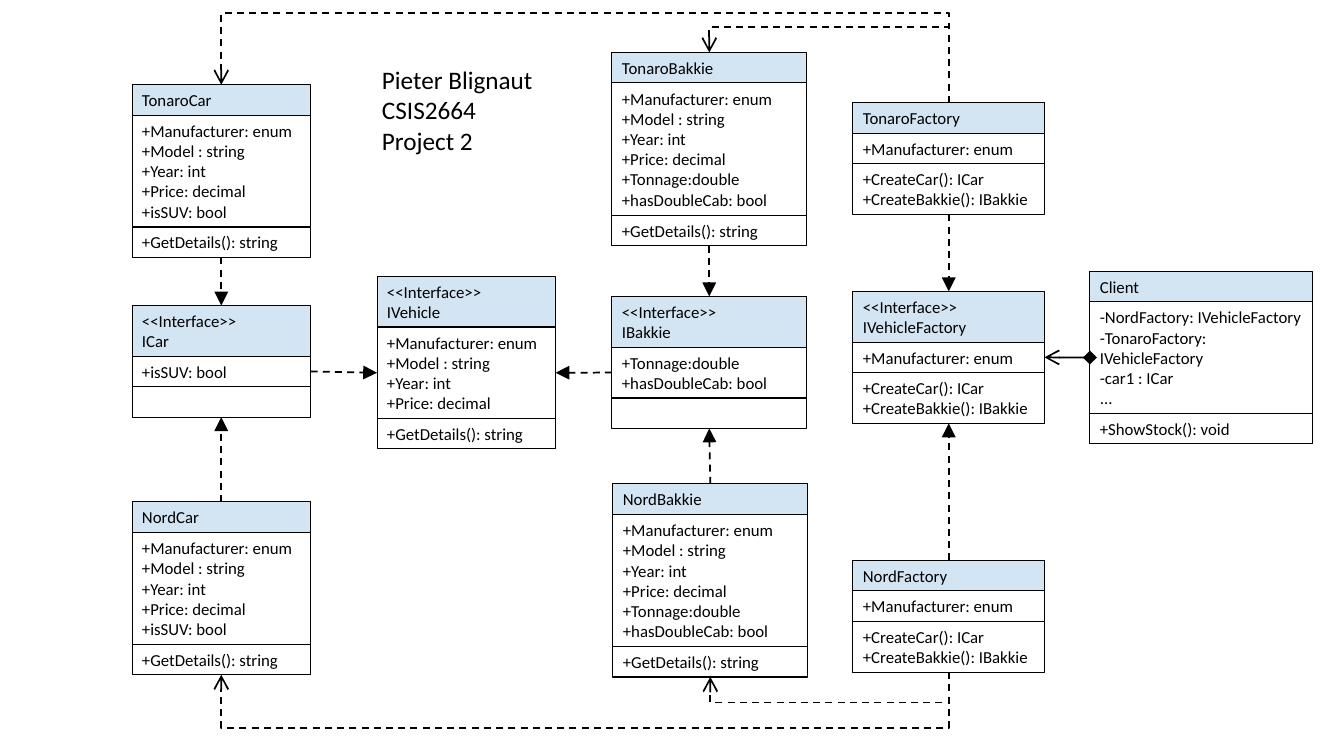
import math

from lxml import etree
from pptx import Presentation
from pptx import util as u
from pptx.dml.color import RGBColor
from pptx.enum import dml, shapes, text
from pptx.oxml.ns import qn

BLACK = RGBColor(0x00, 0x00, 0x00)
WHITE = RGBColor(0xFF, 0xFF, 0xFF)
HEADER_BLUE = RGBColor(0xBD, 0xD7, 0xEE)
FONT = "Calibri"

# Diagram columns: left edge and width
CAR = (1.31, 1.77)
VEHICLE = (3.74, 1.77)
BAKKIE = (6.07, 1.93)
LOWER_BAKKIE = (6.08, 1.93)
FACTORY = (8.46, 1.9)
CLIENT = (10.81, 2.21)

# A compartment is its padding plus its text lines
PADDING = u.Inches(0.1)
LINE_HEIGHT = u.Pt(14.55)
CHARACTERS_PER_LINE = 30

# Connection sites of a rectangle
TOP, LEFT, BOTTOM, RIGHT = range(4)

presentation = Presentation()
presentation.slide_width = u.Inches(13.33)
presentation.slide_height = u.Inches(7.5)
slide = presentation.slides.add_slide(presentation.slide_layouts[6])


def write_lines(frame, lines, size):
    for index, line in enumerate(lines):
        paragraph = frame.paragraphs[0] if index == 0 else frame.add_paragraph()
        paragraph.alignment = text.PP_ALIGN.LEFT
        run = paragraph.add_run()
        run.text = line
        run.font.name = FONT
        run.font.size = u.Pt(size)
        run.font.color.rgb = BLACK


def style_arrow(arrow, tail, head=None):
    arrow.line.color.rgb = BLACK
    arrow.line.width = u.Pt(1.25)
    if head is None:
        arrow.line.dash_style = dml.MSO_LINE.DASH
    properties = arrow._element.spPr
    line = properties.find(qn("a:ln"))
    for tag, kind in (("a:headEnd", head), ("a:tailEnd", tail)):
        if kind:
            arrowhead = etree.SubElement(line, qn(tag))
            arrowhead.set("type", kind)
            arrowhead.set("w", "lg")
            arrowhead.set("len", "lg")
    etree.SubElement(properties, qn("a:effectLst"))


# Author and project
heading = slide.shapes.add_textbox(u.Inches(3.69), u.Inches(0.59), u.Inches(1.71), u.Inches(1.01))
heading.text_frame.word_wrap = False
write_lines(heading.text_frame, ["Pieter Blignaut", "CSIS2664", "Project 2"], 18)

# Members shared by several classes
manufacturer = ["+Manufacturer: enum"]
vehicle = manufacturer + ["+Model : string", "+Year: int", "+Price: decimal"]
car = ["+isSUV: bool"]
bakkie = ["+Tonnage:double", "+hasDoubleCab: bool"]
details = ["+GetDetails(): string"]
create = ["+CreateCar(): ICar", "+CreateBakkie(): IBakkie"]
client_fields = ["-NordFactory: IVehicleFactory", "-TonaroFactory: IVehicleFactory",
                 "-car1 : ICar", "..."]

# Classes: name, column, top, attributes, methods
classes = [
    ("TonaroCar", CAR, 0.84, vehicle + car, details),
    ("TonaroBakkie", BAKKIE, 0.52, vehicle + bakkie, details),
    ("TonaroFactory", FACTORY, 1.02, manufacturer, create),
    ("ICar", CAR, 3.03, car, []),
    ("IVehicle", VEHICLE, 2.74, vehicle, details),
    ("IBakkie", BAKKIE, 2.94, bakkie, []),
    ("IVehicleFactory", FACTORY, 2.89, manufacturer, create),
    ("Client", CLIENT, 2.69, client_fields, ["+ShowStock(): void"]),
    ("NordCar", CAR, 4.98, vehicle + car, details),
    ("NordBakkie", LOWER_BAKKIE, 4.8, vehicle + bakkie, details),
    ("NordFactory", FACTORY, 5.56, manufacturer, create),
]
names, fields, methods = {}, {}, {}
for name, (left, width), top, attributes, operations in classes:
    title = ["<<Interface>>", name] if name.startswith("I") else [name]
    group = slide.shapes.add_group_shape()
    y = u.Inches(top)
    for part, lines, color in ((names, title, HEADER_BLUE), (fields, attributes, WHITE),
                               (methods, operations, WHITE)):
        line_count = max(1, sum(math.ceil(len(line) / CHARACTERS_PER_LINE) for line in lines))
        height = PADDING + line_count * LINE_HEIGHT
        shape = group.shapes.add_shape(shapes.MSO_SHAPE.RECTANGLE, u.Inches(left), y,
                                       u.Inches(width), height)
        shape.shadow.inherit = False
        shape.fill.solid()
        shape.fill.fore_color.rgb = color
        fill_color = shape._element.spPr.find(qn("a:solidFill"))[0]
        etree.SubElement(fill_color, qn("a:alpha")).set("val", "66000")
        shape.line.color.rgb = BLACK
        shape.line.width = u.Pt(0.75)
        shape.text_frame.word_wrap = True
        shape.text_frame.vertical_anchor = text.MSO_ANCHOR.MIDDLE
        write_lines(shape.text_frame, lines, 12)
        part[name] = shape
        y += height

# Straight links: implementations to interfaces, interfaces to IVehicle, client to factory
links = [
    (fields["ICar"], RIGHT, fields["IVehicle"], LEFT, "triangle", None),
    (fields["IBakkie"], LEFT, fields["IVehicle"], RIGHT, "triangle", None),
    (fields["Client"], LEFT, fields["IVehicleFactory"], RIGHT, "arrow", "diamond"),
]
for kind in ("Car", "Bakkie", "Factory"):
    interface = "IVehicleFactory" if kind == "Factory" else "I" + kind
    links += [
        (methods["Tonaro" + kind], BOTTOM, names[interface], TOP, "triangle", None),
        (names["Nord" + kind], TOP, methods[interface], BOTTOM, "triangle", None),
    ]
for start, start_site, end, end_site, tail, head in links:
    connector = slide.shapes.add_connector(shapes.MSO_CONNECTOR.STRAIGHT, 0, 0, 0, 0)
    connector.begin_connect(start, start_site)
    connector.end_connect(end, end_site)
    style_arrow(connector, tail, head)

# Factories create their cars and bakkies, each along its own lane
for maker, part, lanes in (("Tonaro", names, {"Bakkie": 0.27, "Car": 0.13}),
                           ("Nord", methods, {"Bakkie": 6.97, "Car": 7.22})):
    for kind, lane in lanes.items():
        ends = []
        for box in (part[maker + "Factory"], part[maker + kind]):
            edge = box.top if part is names else box.top + box.height
            ends.append((box.left + box.width // 2, edge))
        (start_x, start_y), (end_x, end_y) = ends
        lane_y = u.Inches(lane)
        builder = slide.shapes.build_freeform(start_x, start_y)
        builder.add_line_segments([(start_x, lane_y), (end_x, lane_y), (end_x, end_y)], close=False)
        route = builder.convert_to_shape()
        route.fill.background()
        style_arrow(route, "arrow")

presentation.save("out.pptx")
